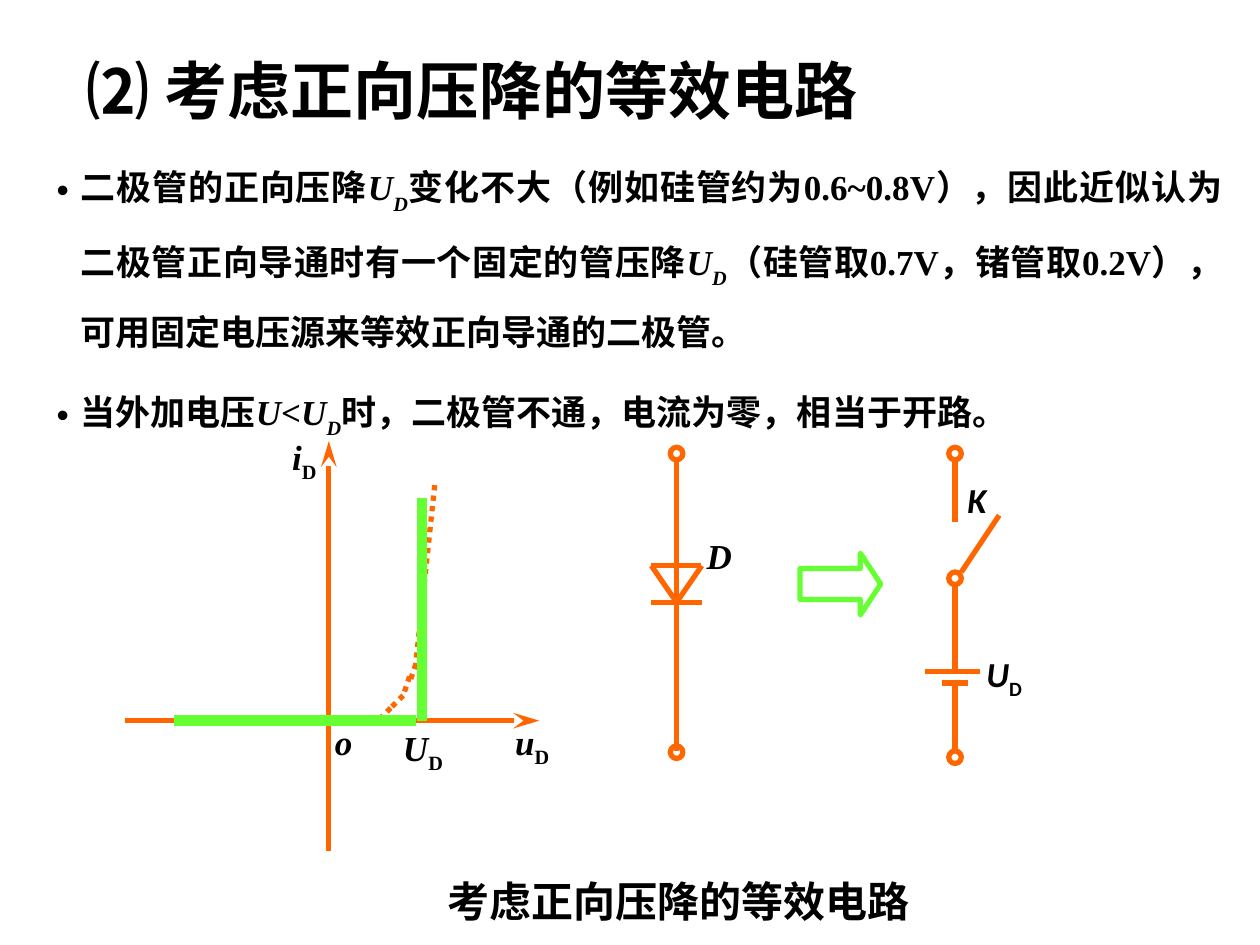
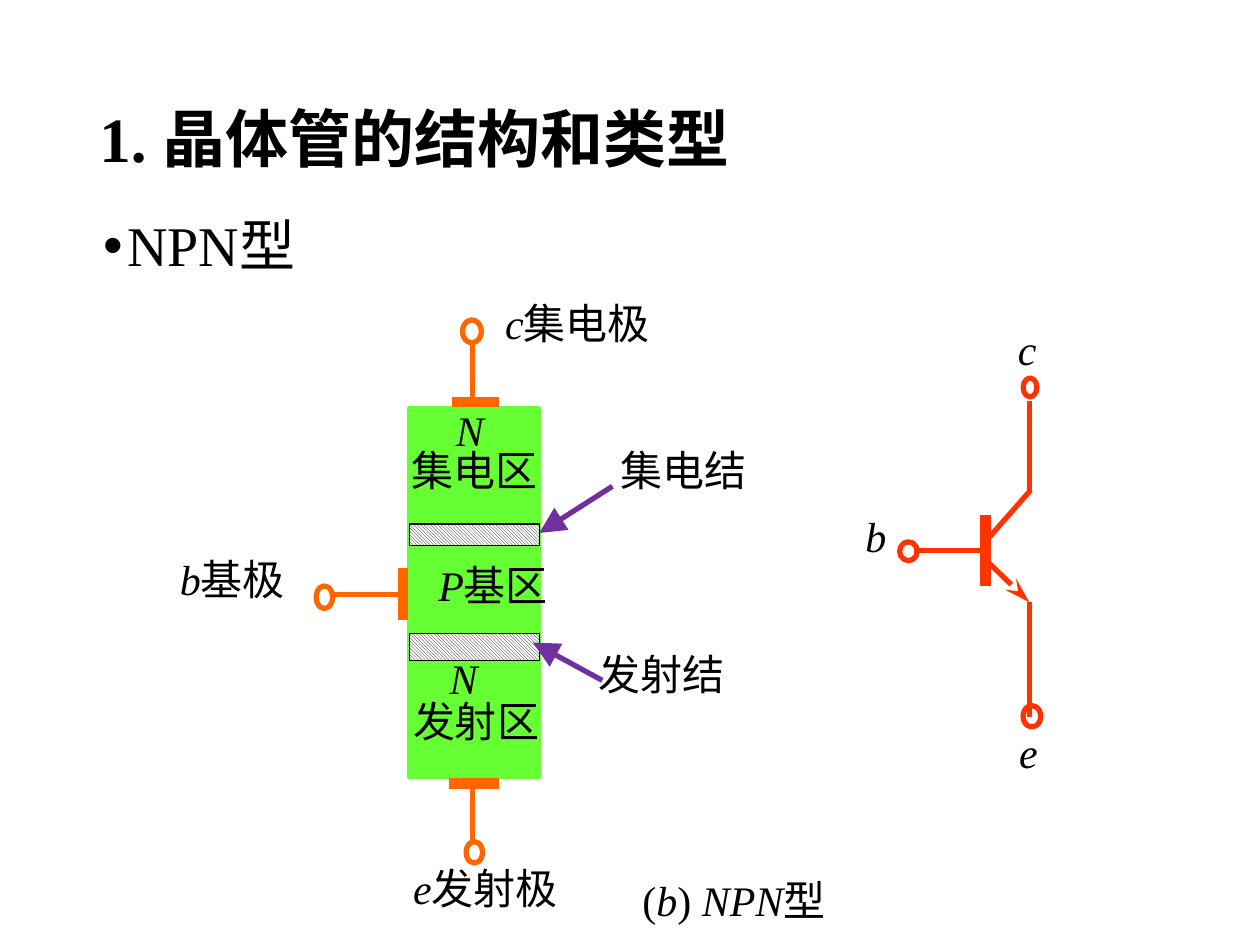
"""Two slides on the diode equivalent circuit and the NPN transistor."""
from dataclasses import dataclass

from lxml import etree
from pptx import Presentation
from pptx.dml.color import RGBColor
from pptx.enum.dml import MSO_LINE, MSO_PATTERN
from pptx.enum.shapes import MSO_CONNECTOR, MSO_SHAPE
from pptx.enum.text import MSO_ANCHOR, PP_ALIGN
from pptx.oxml.ns import qn
from pptx.util import Emu, Pt

PX = 9144
WIDTH, HEIGHT = 1000, 750

DIODE_TITLE = ("⑵ 考虑正向压降的等效电路", (59, 2, 862, 145))
DIODE_BODY = (
    ("二极管的正向压降", ("U", "i"), ("D", "i_"),
     "变化不大（例如硅管约为0.6~0.8V），因此近似认为二极管正向导通时有一个固定的管压降",
     ("U", "i"), ("D", "i_"),
     "（硅管取0.7V，锗管取0.2V），可用固定电压源来等效正向导通的二极管。"),
    ("当外加电压", ("U", "i"), "<", ("U", "i"), ("D", "i_"),
     "时，二极管不通，电流为零，相当于开路。"),
)
DIODE_CAPTION = ("考虑正向压降的等效电路", (345, 690, 409, 50))

AXES = [(99, 572, 428, 572), (261, 675, 261, 350)]
AXIS_LABELS = [
    ((399, 567, 84, 43), [("u", "i"), ("D", "_")]),
    ((222, 341, 84, 43), [("i", "i"), ("D", "_")]),
    ((256, 567, 84, 43), [("o", "i")]),
    ((310, 572, 84, 43), [("U", "i"), ("D", "_")]),
]
REAL_CURVE = [(345, 385, 330, 527), (330, 527, 325, 542), (325, 537, 320, 552),
              (320, 552, 310, 562), (310, 562, 300, 572)]
IDEAL_CURVE = [(335, 395, 335, 572), (330, 572, 138, 572)]

DIODE_WIRES = [(537, 365, 537, 596), (517, 449, 556, 449), (557, 449, 537, 478),
               (517, 449, 537, 478), (517, 478, 557, 478)]
DIODE_RINGS = [(532, 355, 10, 10), (532, 592, 10, 10)]
DIODE_LABELS = [((551, 419, 74, 43), [("D", "i")])]

MODEL_ARROW = (635, 439, 64, 49)
MODEL_WIRES = [(758, 542, 758, 596), (758, 365, 758, 414), (763, 454, 793, 409),
               (748, 542, 768, 542), (734, 533, 778, 533), (758, 533, 758, 464)]
MODEL_RINGS = [(753, 355, 10, 10), (753, 596, 10, 10), (753, 454, 10, 10)]
MODEL_LABELS = [((758, 375, 74, 43), [("K", "i")]),
                ((773, 513, 84, 43), [("U", "i"), ("D", "_")])]

NPN_TITLE = ("1. 晶体管的结构和类型", (69, 40, 862, 145))
NPN_BODY = (("NPN型",),)
CRYSTAL = (325, 324, 103, 293)
JUNCTIONS = [(325, 416, 103, 17), (325, 503, 103, 21)]
CONTACTS = [(356, 622, 396, 622), (359, 319, 396, 319), (320, 451, 320, 492)]
LEADS = [(375, 623, 375, 675), (375, 317, 375, 272), (317, 472, 264, 472)]
TERMINALS = [(370, 668, 13, 17), (367, 254, 15, 18), (251, 465, 13, 18)]
POINTERS = [(486, 386, 428, 423), (478, 540, 423, 510)]
STRUCTURE_LABELS = [
    ((391, 231, 235, 86), [("c", "i"), "集电极"]),
    ((133, 434, 146, 86), [("b", "i"), "基极"]),
    ((317, 348, 138, 83), ["集电区"]),
    ((352, 316, 82, 69), [("N", "i")]),
    ((338, 439, 135, 47), [("P", "i"), "基区"]),
    ((318, 547, 146, 86), ["发射区"]),
    ((347, 513, 82, 86), [("N", "i")]),
    ((483, 348, 146, 86), ["集电结"]),
    ((465, 510, 146, 86), ["发射结"]),
    ((318, 680, 198, 86), [("e", "i"), "发射极"]),
    ((500, 689, 204, 86), ["(", ("b", "i"), ") ", ("NPN", "i"), "型"]),
]

SYMBOL_BASE = [(782, 409, 782, 465)]
SYMBOL_EMITTER = [(782, 444, 817, 478)]
SYMBOL_WIRES = [(782, 430, 818, 389), (782, 437, 725, 437),
                (817, 391, 817, 318), (817, 478, 817, 569)]
SYMBOL_RINGS = [(812, 300, 11, 15), (812, 560, 14, 17), (714, 430, 14, 15)]
SYMBOL_LABELS = [((799, 572, 84, 95), [("e", "i")]),
                 ((677, 400, 68, 91), [("b", "i")]),
                 ((798, 252, 76, 85), [("c", "i")])]


@dataclass(frozen=True)
class Theme:
    """Colours, fonts and sizes used on both slides."""
    ink: str = "000000"
    paper: str = "FFFFFF"
    circuit: str = "FF6600"
    ideal: str = "66FF33"
    pointer: str = "7030A0"
    symbol: str = "FF3300"
    serif: str = "Times New Roman"
    sans: str = "Calibri"
    title: int = 36
    heading: int = 32
    caption: int = 24
    body: int = 20
    wire: int = 3
    bar: int = 6


T = Theme()


def rgb(code):
    """Turn a hex code into a colour."""
    return RGBColor.from_string(code)


def emu(box):
    """Scale a tuple of px to EMU."""
    return [Emu(v * PX) for v in box]


def add_runs(p, parts, size, font=T.serif, bold=False):
    """Append runs, where flag i is italic and _ is subscript."""
    for part in parts:
        text, flags = (part, "") if isinstance(part, str) else part
        r = p.add_run()
        r.text = text
        f = r.font
        f.name, f.size, f.bold, f.italic = font, Pt(size), bold, "i" in flags
        f.color.rgb = rgb(T.ink)
        if "_" in flags:
            r._r.get_or_add_rPr().set("baseline", "-30000" if "i" in flags else "-25000")


def add_box(shapes, box):
    """Add a wrapping text box and return its frame."""
    tf = shapes.add_textbox(*emu(box)).text_frame
    tf.word_wrap = True
    return tf


def add_labels(shapes, labels, size, align=None, **style):
    """Add one single-paragraph box per label."""
    for box, parts in labels:
        p = add_box(shapes, box).paragraphs[0]
        p.alignment = align
        add_runs(p, parts, size, **style)


def add_title(s, text, box):
    """Add the slide title."""
    tf = add_box(s.shapes, box)
    tf.vertical_anchor = MSO_ANCHOR.MIDDLE
    tf.paragraphs[0].line_spacing = 0.9
    add_runs(tf.paragraphs[0], [text], T.title, bold=True)


def add_bullets(s, paragraphs, box, size, spacing, bold=False):
    """Add justified bullet paragraphs."""
    tf = add_box(s.shapes, box)
    for i, parts in enumerate(paragraphs):
        p = tf.add_paragraph() if i else tf.paragraphs[0]
        pPr = p._p.get_or_add_pPr()
        pPr.set("marL", str(19 * PX))
        pPr.set("indent", str(-19 * PX))
        p.alignment = PP_ALIGN.JUSTIFY
        p.line_spacing = spacing
        if i:
            p.space_before = Pt(7.5)
        etree.SubElement(pPr, qn("a:buFont"), typeface="Arial")
        etree.SubElement(pPr, qn("a:buChar"), char="•")
        add_runs(p, parts, size, bold=bold)


def add_lines(shapes, lines, color, width=T.wire, dash=None, head=None, head_width="med"):
    """Draw straight lines with an optional arrowhead at the end."""
    for line in lines:
        c = shapes.add_connector(MSO_CONNECTOR.STRAIGHT, *emu(line))
        c.line.color.rgb = rgb(color)
        c.line.width = Pt(width)
        if dash:
            c.line.dash_style = dash
        if head:
            etree.SubElement(c.line._get_or_add_ln(), qn("a:tailEnd"),
                             type=head, w=head_width, len="lg")
        etree.SubElement(c._element.spPr, qn("a:effectLst"))


def add_outline(shapes, kind, box, color, width=T.wire, fill=None):
    """Add an outlined preset shape."""
    sp = shapes.add_shape(kind, *emu(box))
    sp.shadow.inherit = False
    sp.line.color.rgb = rgb(color)
    sp.line.width = Pt(width)
    if fill:
        sp.fill.solid()
        sp.fill.fore_color.rgb = rgb(fill)
    else:
        sp.fill.background()
    return sp


def add_rings(shapes, rings, color, fill=None):
    """Add round terminals."""
    for ring in rings:
        add_outline(shapes, MSO_SHAPE.OVAL, ring, color, fill=fill)


def add_circuit(s, wires, rings, labels, font):
    """Group the wires, terminals and labels of one circuit."""
    shapes = s.shapes.add_group_shape().shapes
    add_lines(shapes, wires, T.circuit)
    add_rings(shapes, rings, T.circuit)
    add_labels(shapes, labels, T.body, font=font, bold=True)


def build_diode(s):
    """Build the diode slide."""
    add_title(s, *DIODE_TITLE)
    add_bullets(s, DIODE_BODY, (35, 107, 945, 205), T.body, 1.5, bold=True)
    graph = s.shapes.add_group_shape().shapes
    add_lines(graph, AXES, T.circuit, head="stealth")
    add_lines(graph, REAL_CURVE, T.circuit, dash=MSO_LINE.ROUND_DOT)
    add_labels(graph, AXIS_LABELS, T.body, bold=True)
    add_circuit(s, DIODE_WIRES, DIODE_RINGS, DIODE_LABELS, T.serif)
    add_lines(s.shapes, IDEAL_CURVE, T.ideal, T.bar)
    arrow = add_outline(s.shapes, MSO_SHAPE.RIGHT_ARROW, MODEL_ARROW, T.ideal)
    arrow.adjustments[0], arrow.adjustments[1] = 0.5, 0.33
    text, box = DIODE_CAPTION
    add_labels(s.shapes, [(box, [text])], T.caption, font=T.sans, bold=True)
    add_circuit(s, MODEL_WIRES, MODEL_RINGS, MODEL_LABELS, T.sans)


def build_npn(s):
    """Build the NPN transistor slide."""
    add_title(s, *NPN_TITLE)
    add_bullets(s, NPN_BODY, (72, 168, 850, 75), T.heading, 0.9)
    structure = s.shapes.add_group_shape().shapes
    add_outline(structure, MSO_SHAPE.RECTANGLE, CRYSTAL, T.ideal, 2.25, T.ideal)
    for junction in JUNCTIONS:
        fill = add_outline(structure, MSO_SHAPE.RECTANGLE, junction, T.ink, 0.75).fill
        fill.patterned()
        fill.pattern = MSO_PATTERN.LIGHT_DOWNWARD_DIAGONAL
        fill.fore_color.rgb, fill.back_color.rgb = rgb(T.ink), rgb(T.paper)
    add_lines(structure, CONTACTS, T.circuit, T.bar)
    add_lines(structure, LEADS, T.circuit)
    add_rings(structure, TERMINALS, T.circuit, T.paper)
    add_lines(structure, POINTERS, T.pointer, head="triangle", head_width="lg")
    add_labels(structure, STRUCTURE_LABELS, T.caption, PP_ALIGN.JUSTIFY)
    symbol = s.shapes.add_group_shape().shapes
    add_lines(symbol, SYMBOL_BASE, T.symbol, T.bar)
    add_lines(symbol, SYMBOL_EMITTER, T.symbol, head="stealth")
    add_lines(symbol, SYMBOL_WIRES, T.symbol)
    add_rings(symbol, SYMBOL_RINGS, T.symbol)
    add_labels(symbol, SYMBOL_LABELS, T.caption, PP_ALIGN.JUSTIFY)


def main():
    """Build and save the deck."""
    prs = Presentation()
    prs.slide_width, prs.slide_height = emu((WIDTH, HEIGHT))
    for build in (build_diode, build_npn):
        build(prs.slides.add_slide(prs.slide_layouts[6]))
    prs.save("out.pptx")


if __name__ == "__main__":
    main()
